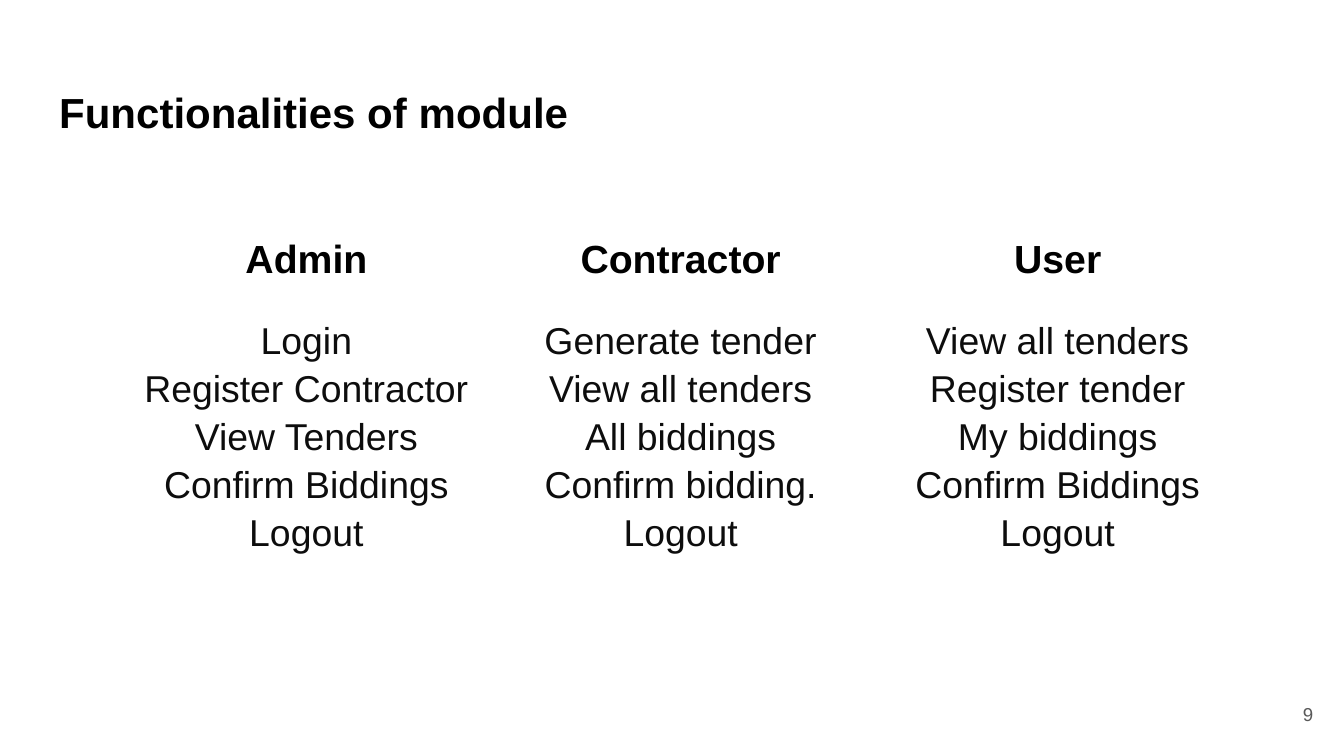
from pptx import Presentation
from pptx.dml.color import RGBColor
from pptx.enum.text import MSO_ANCHOR, MSO_AUTO_SIZE, PP_ALIGN
from pptx.util import Inches, Pt

LEFT, CENTER, RIGHT = PP_ALIGN.LEFT, PP_ALIGN.CENTER, PP_ALIGN.RIGHT
TOP, MIDDLE = MSO_ANCHOR.TOP, MSO_ANCHOR.MIDDLE
NO_FIT = MSO_AUTO_SIZE.NONE

WIDTH = 10
HEIGHT = WIDTH * 9 / 16
FONT = "Arial"
COLORS = {"head": "000000", "body": "0D0D0D", "page": "595959"}
ROLES = {
    "Admin": ["Login", "Register Contractor", "View Tenders",
              "Confirm Biddings", "Logout"],
    "Contractor": ["Generate tender", "View all tenders", "All biddings",
                   "Confirm bidding.", "Logout"],
    "User": ["View all tenders", "Register tender", "My biddings",
             "Confirm Biddings", "Logout"],
}
COLS = [2.76, 2.81, 2.8]
ROWS = [0.62, 2.57]


def write(frame, lines, size, color, bold=False, align=LEFT, space=1.15, after=0):
    for i, line in enumerate(lines):
        para = frame.paragraphs[0] if i == 0 else frame.add_paragraph()
        para.alignment = align
        para.line_spacing = space
        para.space_before = Pt(0)
        para.space_after = Pt(after)
        run = para.add_run()
        run.text = line
        font = run.font
        font.name = FONT
        font.size = Pt(size)
        font.bold = bold
        font.color.rgb = RGBColor.from_string(COLORS[color])


def pad(box):
    box.margin_left = box.margin_right = Inches(0.1)
    box.margin_top = box.margin_bottom = Inches(0.1)


def set_frame(shape, anchor):
    frame = shape.text_frame
    frame.word_wrap = True
    frame.auto_size = NO_FIT
    frame.vertical_anchor = anchor
    pad(frame)
    return frame


def add_title(slide, text):
    title = slide.shapes.title
    title.left, title.top = Inches(0.34), Inches(0.49)
    title.width, title.height = Inches(9.32), Inches(0.63)
    write(set_frame(title, TOP), [text], 22.5, "head", bold=True, after=12)


def fill_cell(cell, lines, **style):
    cell.fill.background()
    cell.vertical_anchor = TOP
    pad(cell)
    write(cell.text_frame, lines, align=CENTER, **style)


def add_roles(slide):
    table = slide.shapes.add_table(
        len(ROWS), len(COLS), Inches(0.9), Inches(1.62),
        Inches(sum(COLS)), Inches(sum(ROWS))).table
    table.horz_banding = False
    table.first_row = False
    for row, height in zip(table.rows, ROWS):
        row.height = Inches(height)
    for i, (role, tasks) in enumerate(ROLES.items()):
        table.columns[i].width = Inches(COLS[i])
        fill_cell(table.cell(0, i), [role], size=21, color="head", bold=True)
        fill_cell(table.cell(1, i), tasks, size=20, color="body")


def add_page(slide, text):
    box = slide.shapes.add_textbox(
        Inches(9.27), Inches(5.1), Inches(0.6), Inches(0.43))
    write(set_frame(box, MIDDLE), [text], 10, "page", align=RIGHT, space=1)


def main():
    deck = Presentation()
    deck.slide_width, deck.slide_height = Inches(WIDTH), Inches(HEIGHT)
    slide = deck.slides.add_slide(deck.slide_layouts[5])
    add_page(slide, "9")
    add_roles(slide)
    add_title(slide, "Functionalities of module")
    deck.save("out.pptx")


if __name__ == "__main__":
    main()
